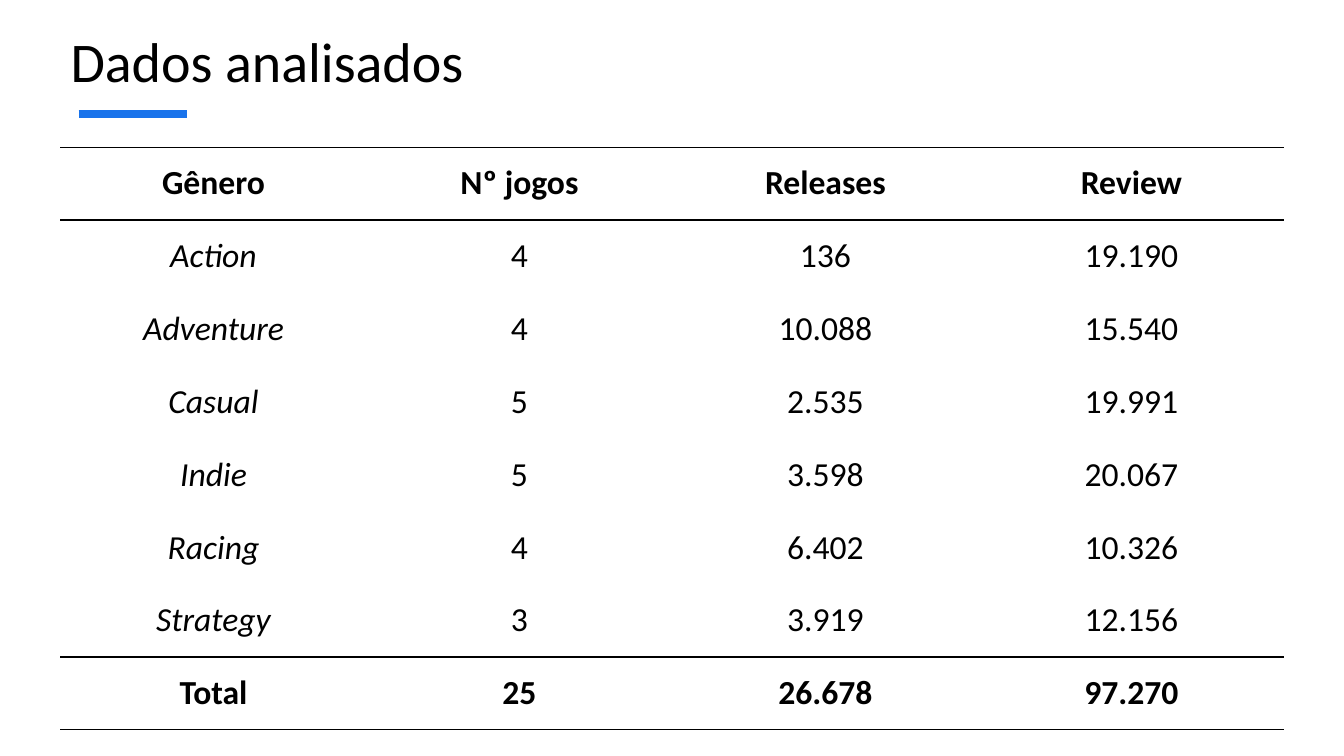
import pptx
import pptx.dml.color
import pptx.enum.shapes
import pptx.enum.text
import pptx.oxml.ns
import pptx.util
from lxml import etree

Inches = pptx.util.Inches
Pt = pptx.util.Pt
PP_ALIGN = pptx.enum.text.PP_ALIGN
MSO_ANCHOR = pptx.enum.text.MSO_ANCHOR
qn = pptx.oxml.ns.qn

COLORS = {"text": "000000", "accent": "1973EB", "rule": "000000"}
NO_STYLE = "{2D5ABB26-0587-4C30-8999-92F81FD0307C}"

ROWS = [
    ("Gênero", "Nº jogos", "Releases", "Review"),
    ("Action", "4", "136", "19.190"),
    ("Adventure", "4", "10.088", "15.540"),
    ("Casual", "5", "2.535", "19.991"),
    ("Indie", "5", "3.598", "20.067"),
    ("Racing", "4", "6.402", "10.326"),
    ("Strategy", "3", "3.919", "12.156"),
    ("Total", "25", "26.678", "97.270"),
]


def write_text(text_frame, text, size=24, color="text", bold=False, italic=False,
               align=PP_ALIGN.CENTER):
    paragraph = text_frame.paragraphs[0]
    paragraph.alignment = align
    run = paragraph.add_run()
    run.text = text
    font = run.font
    font.name = "Calibri"
    font.size = Pt(size)
    font.bold = bold
    font.italic = italic
    font.color.rgb = pptx.dml.color.RGBColor.from_string(COLORS[color])


class SlideBuilder:
    def __init__(self, presentation):
        self.slide = presentation.slides.add_slide(presentation.slide_layouts[5])

    def title(self, text, left, top, width, height):
        shape = self.slide.shapes.title
        shape.left, shape.top = Inches(left), Inches(top)
        shape.width, shape.height = Inches(width), Inches(height)
        shape.text_frame.vertical_anchor = MSO_ANCHOR.TOP
        write_text(shape.text_frame, text, size=40, align=PP_ALIGN.LEFT)

    def line(self, left, right, y, color, width):
        connector = self.slide.shapes.add_connector(
            pptx.enum.shapes.MSO_CONNECTOR.STRAIGHT,
            Inches(left), Inches(y), Inches(right), Inches(y))
        connector.line.color.rgb = pptx.dml.color.RGBColor.from_string(COLORS[color])
        connector.line.width = Pt(width)
        etree.SubElement(connector._element.spPr, qn("a:effectLst"))

    def border(self, cell, side, width=1):
        properties = cell._tc.get_or_add_tcPr()
        line = etree.SubElement(properties, qn(f"a:ln{side}"), w=str(Pt(width)))
        fill = etree.SubElement(line, qn("a:solidFill"))
        etree.SubElement(fill, qn("a:srgbClr"), val=COLORS["rule"])

    def table(self, rows, left, top, width, height):
        table = self.slide.shapes.add_table(
            len(rows), len(rows[0]),
            Inches(left), Inches(top), Inches(width), Inches(height)).table
        table._tbl.tblPr.find(qn("a:tableStyleId")).text = NO_STYLE
        table.horz_banding = False
        for row_index, row in enumerate(rows):
            ruled = row_index in (0, len(rows) - 1)
            for column_index, text in enumerate(row):
                cell = table.cell(row_index, column_index)
                cell.margin_left = cell.margin_right = 0
                cell.margin_top = cell.margin_bottom = 0
                cell.vertical_anchor = MSO_ANCHOR.MIDDLE
                if ruled:
                    for side in "TB":
                        self.border(cell, side)
                cell.fill.background()
                write_text(cell.text_frame, text, bold=ruled,
                           italic=column_index == 0 and not ruled)


def main():
    presentation = pptx.Presentation()
    presentation.slide_width = Inches(13.33)
    presentation.slide_height = Inches(7.5)
    builder = SlideBuilder(presentation)
    builder.line(0.78, 1.85, 1.13, "accent", 6)
    builder.table(ROWS, 0.6, 1.46, 12.14, 5.78)
    builder.title("Dados analisados", 0.6, 0.21, 11.33, 1.25)
    presentation.save("out.pptx")


if __name__ == "__main__":
    main()
